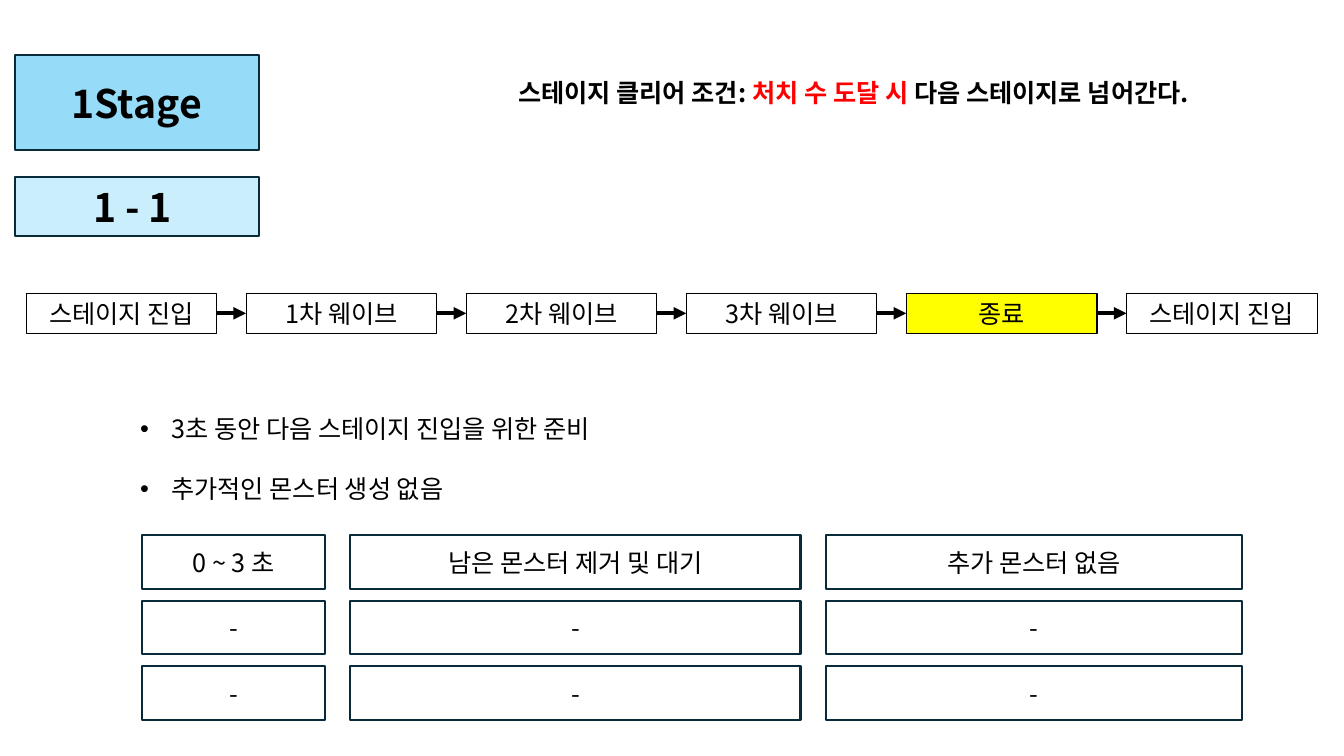
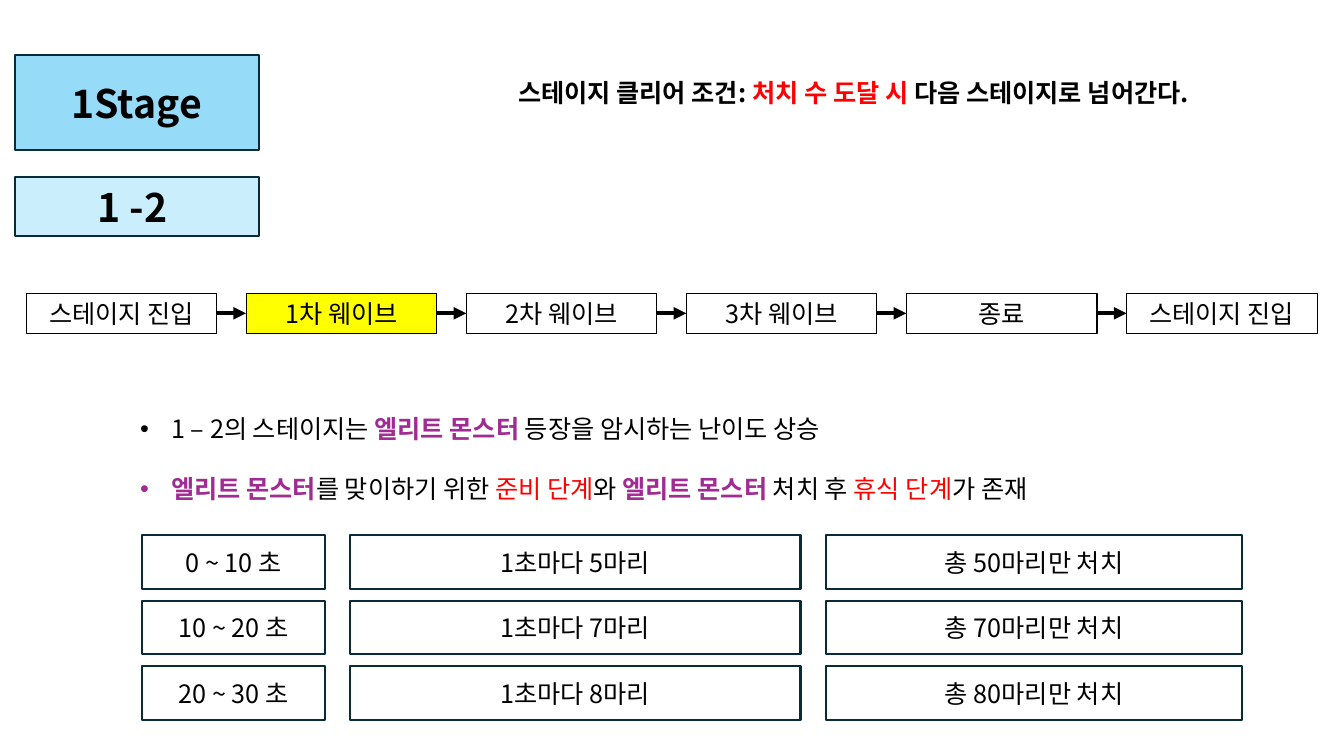
"""Builds two slides that describe the waves of a game stage."""
from dataclasses import dataclass
from typing import Optional

import lxml.etree
import pptx
import pptx.dml.color
import pptx.enum.shapes
import pptx.enum.text
import pptx.oxml.ns
import pptx.util

ALIGN = pptx.enum.text.PP_ALIGN
ANCHOR = pptx.enum.text.MSO_ANCHOR


@dataclass(frozen=True)
class Theme:
    font: str = "Noto Sans CJK KR"
    text: str = "000000"
    alert: str = "FF0000"
    elite: str = "A02B93"
    frame: str = "092A39"
    stage: str = "96DCF8"
    level: str = "CAEEFB"
    active: str = "FFFF00"
    heading_size: int = 28
    body_size: int = 18
    frame_width: float = 1.5
    step_width: float = 0.75
    arrow_width: float = 3


THEME = Theme()
COLUMNS, ROWS = 160, 90
CELL = pptx.util.Inches(7.5) / ROWS


@dataclass(frozen=True)
class Area:
    column: float
    row: float
    columns: float
    rows: float

    def lengths(self) -> list[int]:
        return [cells(n) for n in (self.column, self.row, self.columns, self.rows)]


@dataclass(frozen=True)
class Span:
    text: str
    color: str = THEME.text
    bold: Optional[bool] = None


@dataclass(frozen=True)
class BoxStyle:
    fill: Optional[str] = None
    line: str = THEME.frame
    line_width: float = THEME.frame_width
    size: int = THEME.body_size
    bold: bool = False
    anchor: ANCHOR = ANCHOR.MIDDLE


@dataclass(frozen=True)
class StageLevel:
    label: str
    active_step: int
    notes: list[list[Span]]
    schedule: list[tuple[str, str, str]]


STAGE_AREA = Area(1.8, 6.6, 29, 11.3)
LEVEL_AREA = Area(1.8, 21.1, 29, 7)
CONDITION_AREA = Area(60.5, 8.6, 95.5, 4.8)
NOTES_AREA = Area(15.5, 45, 131, 14.6)
FIRST_STEP = Area(3.1, 34.9, 22.7, 4.8)
STEP_PITCH = 26.2
SCHEDULE_LEFT, SCHEDULE_TOP = 16.9, 63.7
SCHEDULE_WIDTHS = (21.8, 53.6, 49.6)
SCHEDULE_GAP = 3
SCHEDULE_HEIGHT, SCHEDULE_PITCH = 6.4, 7.8
BULLET_INDENT = pptx.util.Inches(0.31)

STEPS = ("스테이지 진입", "1차 웨이브", "2차 웨이브", "3차 웨이브", "종료", "스테이지 진입")
CONDITION = [
    Span("스테이지 클리어 조건: "),
    Span("처치 수 도달 시 ", THEME.alert),
    Span("다음 스테이지로 넘어간다."),
]
ELITE = Span("엘리트 몬스터", THEME.elite, True)
LEVELS = [
    StageLevel(
        "1 - 1 ",
        4,
        [[Span("3초 동안 다음 스테이지 진입을 위한 준비")], [Span("추가적인 몬스터 생성 없음")]],
        [("0 ~ 3 초", "남은 몬스터 제거 및 대기", "추가 몬스터 없음"), ("-", "-", "-"), ("-", "-", "-")],
    ),
    StageLevel(
        "1 -2 ",
        1,
        [
            [Span("1 – 2의 스테이지는 "), ELITE, Span(" 등장을 암시하는 난이도 상승")],
            [
                ELITE,
                Span("를 맞이하기 위한 "),
                Span("준비 단계", THEME.alert),
                Span("와 "),
                ELITE,
                Span(" 처치 후 "),
                Span("휴식 단계", THEME.alert),
                Span("가 존재"),
            ],
        ],
        [
            ("0 ~ 10 초", "1초마다 5마리", "총 50마리만 처치"),
            ("10 ~ 20 초", "1초마다 7마리", "총 70마리만 처치"),
            ("20 ~ 30 초", "1초마다 8마리", "총 80마리만 처치"),
        ],
    ),
]


def cells(count: float) -> int:
    return round(count * CELL)


def rgb(color: str) -> pptx.dml.color.RGBColor:
    return pptx.dml.color.RGBColor.from_string(color)


def add_xml(parent, tag: str, **attributes: str):
    return lxml.etree.SubElement(parent, pptx.oxml.ns.qn(tag), **attributes)


def write(paragraph, spans: list[Span], size: int, bold: bool, align: ALIGN) -> None:
    paragraph.alignment = align
    font = paragraph.font
    font.name, font.size, font.bold = THEME.font, pptx.util.Pt(size), bold
    font.color.rgb = rgb(THEME.text)
    defaults = paragraph._p.pPr.find(pptx.oxml.ns.qn("a:defRPr"))
    add_xml(defaults, "a:ea", typeface=THEME.font)
    for span in spans:
        run = paragraph.add_run()
        run.text = span.text
        if span.color != THEME.text:
            run.font.color.rgb = rgb(span.color)
        if span.bold is not None:
            run.font.bold = span.bold


def add_bullet(paragraph) -> None:
    properties = paragraph._p.get_or_add_pPr()
    properties.set("marL", str(BULLET_INDENT))
    properties.set("indent", str(-BULLET_INDENT))
    add_xml(properties, "a:buFont", typeface="Arial")
    add_xml(properties, "a:buChar", char="•")
    paragraph.line_spacing = 2.0


def draw_box(slide, area: Area, label: str, style: BoxStyle) -> None:
    box = slide.shapes.add_shape(pptx.enum.shapes.MSO_SHAPE.RECTANGLE, *area.lengths())
    box.shadow.inherit = False
    if style.fill:
        box.fill.solid()
        box.fill.fore_color.rgb = rgb(style.fill)
    else:
        box.fill.background()
    box.line.color.rgb = rgb(style.line)
    box.line.width = pptx.util.Pt(style.line_width)
    frame = box.text_frame
    frame.word_wrap = True
    frame.vertical_anchor = style.anchor
    write(frame.paragraphs[0], [Span(label)], style.size, style.bold, ALIGN.CENTER)


def draw_text(slide, area: Area, lines: list[list[Span]], bold: bool = False, bullets: bool = False) -> None:
    frame = slide.shapes.add_textbox(*area.lengths()).text_frame
    frame.word_wrap = True
    for index, spans in enumerate(lines):
        paragraph = frame.add_paragraph() if index else frame.paragraphs[0]
        if bullets:
            add_bullet(paragraph)
        write(paragraph, spans, THEME.body_size, bold, ALIGN.LEFT)


def draw_arrow(slide, start: float, end: float, row: float) -> None:
    arrow = slide.shapes.add_connector(
        pptx.enum.shapes.MSO_CONNECTOR.STRAIGHT, cells(start), cells(row), cells(end), cells(row)
    )
    arrow.line.color.rgb = rgb(THEME.text)
    arrow.line.width = pptx.util.Pt(THEME.arrow_width)
    add_xml(arrow.line._get_or_add_ln(), "a:tailEnd", type="triangle")
    add_xml(arrow._element.spPr, "a:effectLst")


def draw_flow(slide, active_step: int) -> None:
    first = FIRST_STEP
    for index, step in enumerate(STEPS):
        left = first.column + index * STEP_PITCH
        fill = THEME.active if index == active_step else None
        style = BoxStyle(fill, THEME.text, THEME.step_width, anchor=ANCHOR.TOP)
        draw_box(slide, Area(left, first.row, first.columns, first.rows), step, style)
        if index:
            draw_arrow(slide, left - STEP_PITCH + first.columns, left, first.row + first.rows / 2)


def draw_schedule(slide, schedule: list[tuple[str, str, str]]) -> None:
    for index, entries in enumerate(schedule):
        left, top = SCHEDULE_LEFT, SCHEDULE_TOP + index * SCHEDULE_PITCH
        for entry, width in zip(entries, SCHEDULE_WIDTHS):
            draw_box(slide, Area(left, top, width, SCHEDULE_HEIGHT), entry, BoxStyle())
            left += width + SCHEDULE_GAP


def draw_level(slide, level: StageLevel) -> None:
    headings = ((STAGE_AREA, "1Stage", THEME.stage), (LEVEL_AREA, level.label, THEME.level))
    for area, label, fill in headings:
        draw_box(slide, area, label, BoxStyle(fill, size=THEME.heading_size, bold=True))
    draw_text(slide, CONDITION_AREA, [CONDITION], bold=True)
    draw_flow(slide, level.active_step)
    draw_text(slide, NOTES_AREA, level.notes, bullets=True)
    draw_schedule(slide, level.schedule)


def main() -> None:
    deck = pptx.Presentation()
    deck.slide_width, deck.slide_height = cells(COLUMNS), cells(ROWS)
    for level in LEVELS:
        draw_level(deck.slides.add_slide(deck.slide_layouts[6]), level)
    deck.save("out.pptx")


if __name__ == "__main__":
    main()
